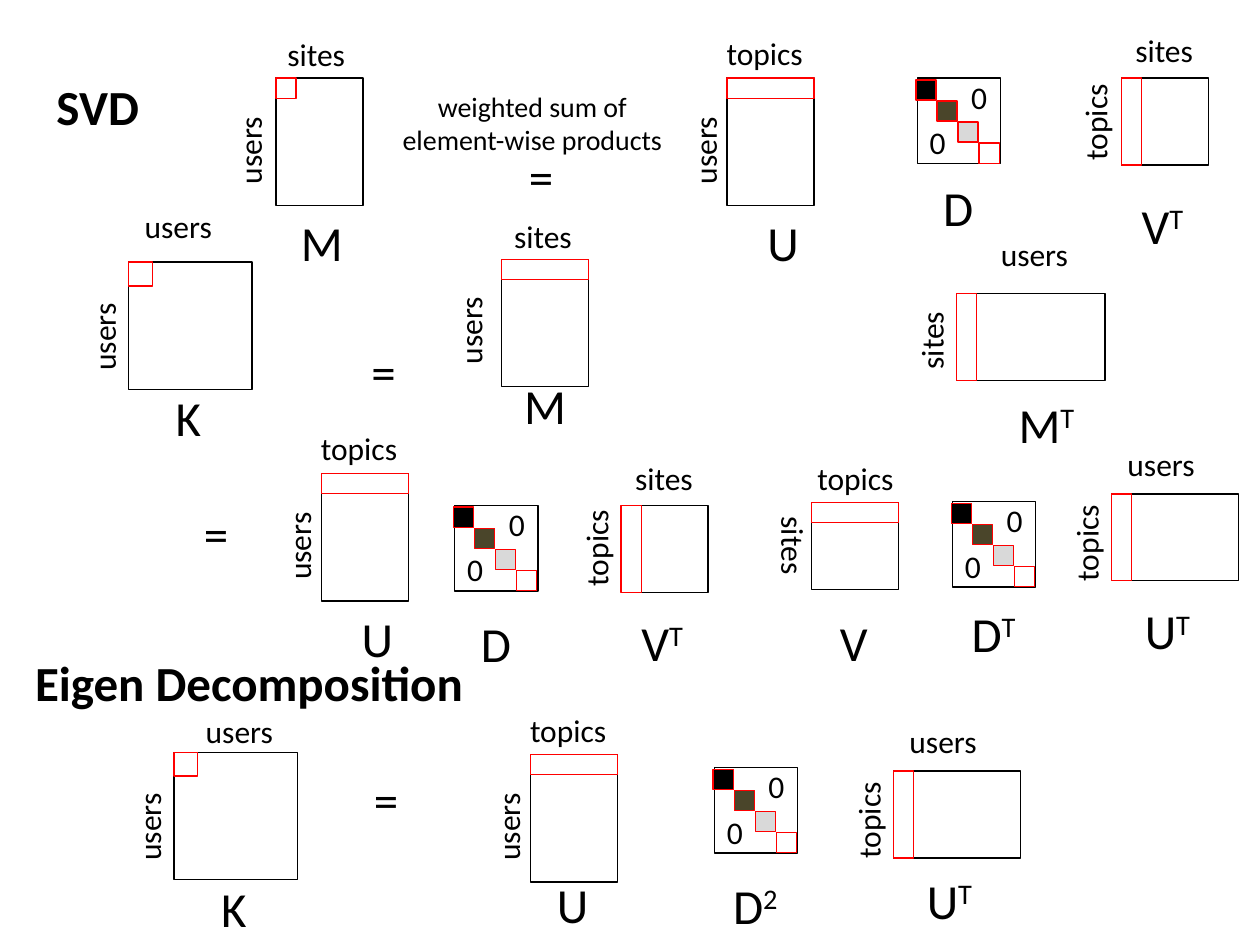
from pptx import Presentation
from pptx.dml.color import RGBColor
from pptx.enum.shapes import MSO_SHAPE
from pptx.enum.text import MSO_AUTO_SIZE, PP_ALIGN
from pptx.util import Inches, Pt

RECTANGLE = MSO_SHAPE.RECTANGLE
GROW = MSO_AUTO_SIZE.SHAPE_TO_FIT_TEXT
LEFT, CENTER = PP_ALIGN.LEFT, PP_ALIGN.CENTER

BLACK, WHITE, RED = "000000", "FFFFFF", "FF0000"
DIAGONAL = (BLACK, "4A452A", "D9D9D9", WHITE)
STRIP = 0.16
LONG, SHORT = 1.01, 0.69


def color(value):
    return RGBColor.from_string(value)


class Diagram:
    """Holds the style and the slide; draws matrices with their labels."""

    font = "Calibri"
    label_size = 18
    symbol_size = 28

    def __init__(self, slide):
        self.slide = slide

    def rectangle(self, x, y, width, height, line=BLACK, fill=None):
        shape = self.slide.shapes.add_shape(
            RECTANGLE, Inches(x), Inches(y), Inches(width), Inches(height))
        shape.shadow.inherit = False
        if fill:
            shape.fill.solid()
            shape.fill.fore_color.rgb = color(fill)
        else:
            shape.fill.background()
        shape.line.color.rgb = color(line)
        shape.line.width = Pt(0.75)

    def text(self, text, x, y, width, height, size, align=CENTER,
             rotation=0, bold=False, superscript=""):
        box = self.slide.shapes.add_textbox(
            Inches(x), Inches(y), Inches(width), Inches(height))
        box.rotation = rotation
        frame = box.text_frame
        frame.word_wrap = True
        frame.auto_size = GROW
        paragraph = frame.paragraphs[0]
        paragraph.alignment = align
        paragraph.font.name = self.font
        paragraph.font.size = Pt(size)
        paragraph.font.bold = bold
        paragraph.font.color.rgb = color(BLACK)
        paragraph.add_run().text = text
        if superscript:
            run = paragraph.add_run()
            run.text = superscript
            run.font._element.set("baseline", "30000")

    def label(self, text, x, y, align=CENTER, rotation=0):
        self.text(text, x, y, 0.86, 0.4, self.label_size, align, rotation)

    def symbol(self, name, x, y, align=CENTER):
        letter, _, superscript = name.partition("^")
        self.text(letter, x, y, 0.89, 0.57, self.symbol_size, align,
                  superscript=superscript)

    def equals(self, x, y):
        self.text("=", x, y, 0.47, 0.57, self.symbol_size, LEFT)

    def heading(self, text, x, y, width):
        self.text(text, x, y, width, 0.57, self.symbol_size, bold=True)

    def matrix(self, x, y, width, height, marked, symbol, top, side, turn=270):
        """Outline with a marked (width, height) corner part and three labels."""
        self.rectangle(x, y, width, height)
        self.rectangle(x, y, *marked, line=RED, fill=WHITE)
        self.symbol(*symbol)
        self.label(*top)
        self.label(*side, rotation=turn)

    def tall(self, x, y, symbol, top, side):
        self.matrix(x, y, SHORT, LONG, (SHORT, STRIP), symbol, top, side)

    def wide(self, x, y, width, symbol, top, side):
        self.matrix(x, y, width, SHORT, (STRIP, SHORT), symbol, top, side)

    def kernel(self, x, y, symbol, top, side):
        self.matrix(x, y, 0.98, LONG, (0.19, 0.19), symbol, top, side)

    def diagonal(self, x, y, name, symbol_y):
        self.rectangle(x, y, 0.66, 0.68)
        for index, fill in enumerate(DIAGONAL):
            step = index * 0.167
            self.rectangle(x - 0.01 + step, y + 0.015 + step, STRIP, STRIP,
                           RED, fill)
        for zero_x, zero_y in ((x, y + 0.31), (x + 0.33, y - 0.05)):
            self.text("0", zero_x, zero_y, 0.33, 0.4, self.label_size, LEFT)
        self.symbol(name, x - 0.12, symbol_y)


def main():
    presentation = Presentation()
    presentation.slide_width = Inches(10)
    presentation.slide_height = Inches(7.5)
    slide = presentation.slides.add_slide(presentation.slide_layouts[6])
    diagram = Diagram(slide)

    # SVD: M = U D V^T
    diagram.heading("SVD", 0.14, 0.56, 1.27)
    diagram.matrix(2.19, 0.62, SHORT, LONG, (STRIP, STRIP),
                   ("M", 2.29, 1.64, LEFT), ("sites", 2.08, 0.23),
                   ("users", 1.55, 0.93, LEFT))
    diagram.text("weighted sum of element-wise products",
                 3.07, 0.66, 2.31, 0.64, 16)
    diagram.equals(4.1, 1.11)
    diagram.tall(5.77, 0.62, ("U", 5.77, 1.64), ("topics", 5.64, 0.22),
                 ("users", 5.16, 0.93, LEFT))
    diagram.diagonal(7.28, 0.62, "D", 1.36)
    diagram.wide(8.9, 0.62, SHORT, ("V^T", 8.78, 1.5), ("sites", 8.81, 0.2),
                 ("topics", 8.26, 0.77))

    # Kernel: K = M M^T
    diagram.kernel(1.02, 2.08, ("K", 1.05, 3.03), ("users", 1.05, 1.59, LEFT),
                   ("users", 0.39, 2.41, LEFT))
    diagram.equals(2.85, 2.66)
    diagram.tall(3.98, 2.06, ("M", 3.88, 2.93), ("sites", 3.88, 1.67),
                 ("users", 3.3, 2.36, LEFT))
    diagram.wide(7.59, 2.33, 1.18, ("M^T", 7.86, 3.08), ("users", 7.78, 1.82),
                 ("sites", 6.96, 2.4, LEFT))

    # Expanded product: U D V^T V D^T U^T
    diagram.equals(1.52, 3.95)
    diagram.tall(2.55, 3.76, ("U", 2.55, 4.78), ("topics", 2.42, 3.36),
                 ("users", 1.94, 4.07, LEFT))
    diagram.diagonal(3.61, 4.01, "D", 4.82)
    diagram.wide(4.93, 4.01, SHORT, ("V^T", 4.81, 4.81), ("sites", 4.84, 3.59),
                 ("topics", 4.3, 4.15))
    diagram.matrix(6.44, 3.99, SHORT, SHORT, (SHORT, STRIP),
                   ("V", 6.33, 4.81), ("topics", 6.36, 3.59),
                   ("sites", 5.87, 4.13), turn=90)
    diagram.diagonal(7.56, 3.98, "D^T", 4.74)
    diagram.wide(8.82, 3.92, LONG, ("U^T", 8.82, 4.72),
                 ("users", 8.85, 3.48, LEFT), ("topics", 8.19, 4.11))

    # Eigen decomposition: K = U D^2 U^T
    diagram.heading("Eigen Decomposition", 0.17, 5.13, 3.61)
    diagram.kernel(1.38, 5.97, ("K", 1.41, 6.92), ("users", 1.47, 5.6),
                   ("users", 0.75, 6.3, LEFT))
    diagram.equals(2.87, 6.06)
    diagram.tall(4.21, 5.99, ("U", 4.1, 6.89), ("topics", 4.08, 5.59),
                 ("users", 3.6, 6.3, LEFT))
    diagram.diagonal(5.67, 6.09, "D^2", 6.9)
    diagram.wide(7.09, 6.12, LONG, ("U^T", 7.09, 6.86),
                 ("users", 7.12, 5.68, LEFT), ("topics", 6.46, 6.31))

    presentation.save("out.pptx")


if __name__ == "__main__":
    main()
